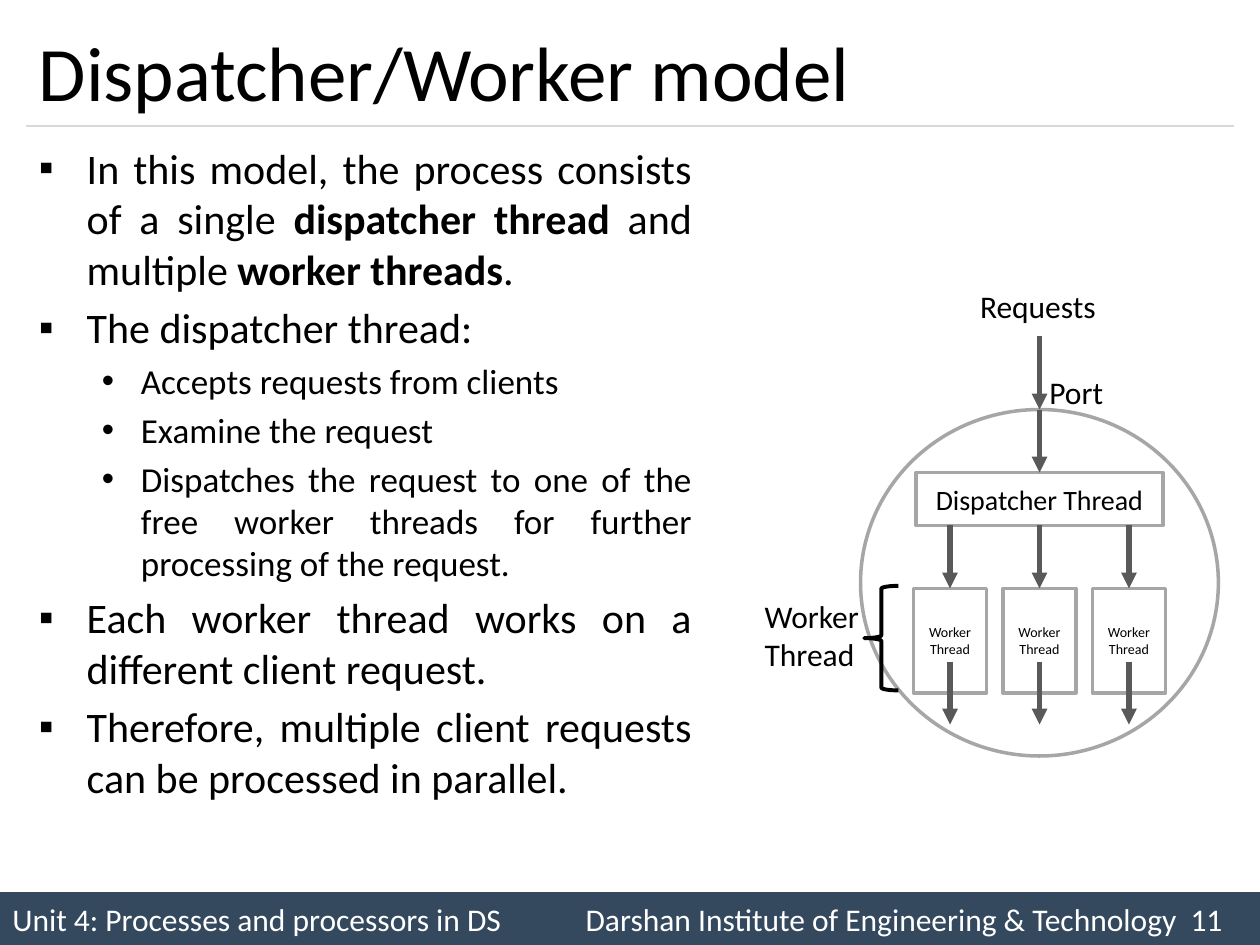
from lxml import etree
from pptx import Presentation
from pptx.dml.color import RGBColor
from pptx.enum.shapes import MSO_CONNECTOR, MSO_SHAPE
from pptx.enum.text import MSO_ANCHOR, PP_ALIGN
from pptx.oxml.ns import qn
from pptx.util import Inches, Pt

RECT, OVAL, BRACE = MSO_SHAPE.RECTANGLE, MSO_SHAPE.OVAL, MSO_SHAPE.LEFT_BRACE
STRAIGHT = MSO_CONNECTOR.STRAIGHT
TOP, MIDDLE = MSO_ANCHOR.TOP, MSO_ANCHOR.MIDDLE
LEFT, CENTER, JUSTIFY = PP_ALIGN.LEFT, PP_ALIGN.CENTER, PP_ALIGN.JUSTIFY
TOP_SITE, BOTTOM_SITE = 0, 2

FONT = "Calibri"
COLORS = {"text": "000000", "white": "FFFFFF", "footer": "34495E",
          "rule": "D9D9D9", "outline": "A6A6A6", "arrow": "595959"}

TITLE = "Dispatcher/Worker model"
FOOTER = ("Unit 4: Processes and processors in DS\t"
          "Darshan Institute of Engineering & Technology  11")
# Level and runs; every second run is bold.
BODY = [
    (0, ["In this model, the process consists of a single ", "dispatcher thread ",
         "and multiple ", "worker threads", "."]),
    (0, ["The dispatcher thread:"]),
    (1, ["Accepts requests from clients"]),
    (1, ["Examine the request"]),
    (1, ["Dispatches the request to one of the free worker threads "
         "for further processing of the request."]),
    (0, ["Each worker thread works on a different client request."]),
    (0, ["Therefore, multiple client requests can be processed in parallel."]),
]
# Size, left margin, hanging indent, bullet
LEVELS = [(24, 0.38, 0.38, "▪"), (20, 0.81, 0.31, "•")]
LABELS = [("Worker\nThread", 5.97, 4.69, 0.96, 0.71),
          ("Port", 8.23, 2.91, 0.63, 0.4),
          ("Requests", 7.68, 2.23, 1.13, 0.4)]

W, H = 10, 7.5
MARGIN, FOOTER_H = 0.21, 0.42
AXIS = 8.25                     # centre line of the diagram
WORKERS, PITCH = 3, 0.71
REQUEST_Y, PORT_Y, DISPATCH_Y, WORKER_Y = 2.67, 3.25, 3.75, 4.67
OUT_Y, OUT_LEN = 5.25, 0.5

prs = Presentation()
prs.slide_width, prs.slide_height = Inches(W), Inches(H)
slide = prs.slides.add_slide(prs.slide_layouts[6])
shapes = slide.shapes


def rgb(name):
    return RGBColor.from_string(COLORS[name])


def style_run(r, size, color="text", bold=False):
    r.font.name, r.font.size, r.font.bold = FONT, Pt(size), bold
    r.font.color.rgb = rgb(color)


def write(sp, text, size, color="text", align=LEFT, anchor=MIDDLE, wrap=True):
    tf = sp.text_frame
    tf.text, tf.word_wrap, tf.vertical_anchor = text, wrap, anchor
    for p in tf.paragraphs:
        p.alignment = align
        for r in p.runs:
            style_run(r, size, color)


def add_text(x, y, w, h):
    return shapes.add_textbox(Inches(x), Inches(y), Inches(w), Inches(h))


def add_box(kind, x, y, w, h, fill=None, line=None, width=2):
    sp = shapes.add_shape(kind, Inches(x), Inches(y), Inches(w), Inches(h))
    sp.shadow.inherit = False
    if fill:
        sp.fill.solid()
        sp.fill.fore_color.rgb = rgb(fill)
    else:
        sp.fill.background()
    if line:
        sp.line.color.rgb, sp.line.width = rgb(line), Pt(width)
    else:
        sp.line.fill.background()
    return sp


def add_line(x1, y1, x2, y2, color, width):
    line = shapes.add_connector(STRAIGHT, Inches(x1), Inches(y1), Inches(x2), Inches(y2))
    line.line.color.rgb, line.line.width = rgb(color), Pt(width)
    etree.SubElement(line._element.spPr, qn("a:effectLst"))
    return line


def add_arrow(x, y1, y2, source=None, target=None):
    """Vertical arrow, joined to the bottom of source and the top of target."""
    line = add_line(x, y1, x, y2, "arrow", 3)
    etree.SubElement(line.line._get_or_add_ln(), qn("a:tailEnd"), type="triangle")
    if source is not None:
        line.begin_connect(source, BOTTOM_SITE)
    if target is not None:
        line.end_connect(target, TOP_SITE)


def add_bullet(p, level):
    size, margin, hang, char = LEVELS[level]
    pPr = p._p.get_or_add_pPr()
    pPr.set("marL", str(Inches(margin)))
    pPr.set("indent", str(-Inches(hang)))
    etree.SubElement(pPr, qn("a:buFont"), typeface="Arial")
    etree.SubElement(pPr, qn("a:buChar"), char=char)


# Frame: footer, title and rule
footer = add_box(RECT, 0, H - FOOTER_H, W, FOOTER_H, "footer")
write(footer, FOOTER, 18, "white")
tabs = etree.SubElement(footer.text_frame.paragraphs[0]._p.get_or_add_pPr(), qn("a:tabLst"))
etree.SubElement(tabs, qn("a:tab"), pos=str(Inches(9.61)), algn="r")
add_line(MARGIN, 1, W - MARGIN, 1, "rule", 0.75)
write(add_text(MARGIN, 0.12, W - 2 * MARGIN, 0.88), TITLE, 44)

# Body
tf = add_text(MARGIN, 1.08, 5.38, 5.83).text_frame
tf.word_wrap = True
for i, (level, parts) in enumerate(BODY):
    p = tf.add_paragraph() if i else tf.paragraphs[0]
    p.level, p.alignment = level, JUSTIFY
    add_bullet(p, level)
    size = LEVELS[level][0]
    if i:
        p.space_before = Pt(size * 0.2)
    for j, part in enumerate(parts):
        r = p.add_run()
        r.text = part
        style_run(r, size, bold=j % 2 == 1)

# Diagram
process = add_box(OVAL, AXIS - 1.42, PORT_Y, 2.84, 2.75, "white", "outline")
dispatcher = add_box(RECT, AXIS - 0.98, DISPATCH_Y, 1.96, 0.42, "white", "outline")
write(dispatcher, "Dispatcher Thread", 16, align=CENTER)
add_box(BRACE, 6.86, 4.65, 0.27, 0.83, line="text", width=2.25)

add_arrow(AXIS, REQUEST_Y, PORT_Y, target=process)
add_arrow(AXIS, PORT_Y, DISPATCH_Y, target=dispatcher)
for i in range(WORKERS):
    offset = i - WORKERS // 2
    x = AXIS + offset * PITCH
    worker = add_box(RECT, x - 0.29, WORKER_Y, 0.58, 0.83, "white", "outline")
    write(worker, "Worker Thread", 8, align=CENTER)
    add_arrow(x, DISPATCH_Y + 0.42, WORKER_Y, None if offset else dispatcher, worker)
    add_arrow(x, OUT_Y, OUT_Y + OUT_LEN)

for text, *place in LABELS:
    write(add_text(*place), text, 18, anchor=TOP, wrap=False)

prs.save("out.pptx")
